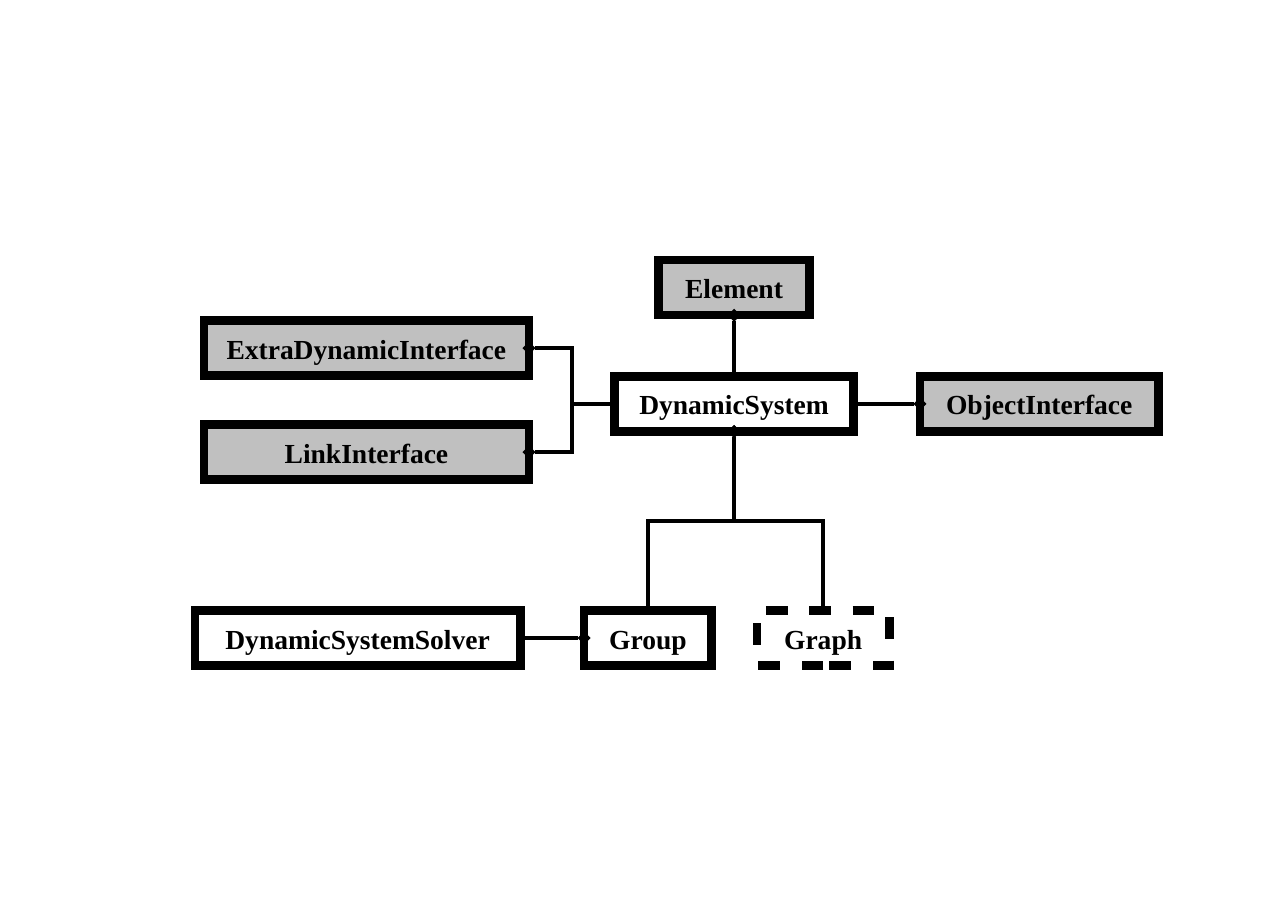
"""Draw the class diagram around DynamicSystem on one slide."""
from lxml import etree
from pptx import Presentation
from pptx.dml.color import RGBColor
from pptx.enum.shapes import MSO_CONNECTOR, MSO_SHAPE
from pptx.enum.text import MSO_ANCHOR, MSO_AUTO_SIZE, PP_ALIGN
from pptx.oxml.ns import qn
from pptx.util import Pt

BLACK = RGBColor(0, 0, 0)
GREY = RGBColor(0xC0, 0xC0, 0xC0)
RECTANGLE = MSO_SHAPE.RECTANGLE
ELBOW = MSO_CONNECTOR.ELBOW
BOX_HEIGHT = 36
TOP_ROW, EXTRA_ROW, SYSTEM_ROW, LINK_ROW, BOTTOM_ROW = 170, 209.5, 246, 277.5, 399

CLASSES = {
    "Element": (430.5, TOP_ROW, 98.5, GREY),
    "ExtraDynamicInterface": (133.25, EXTRA_ROW, 212.5, GREY),
    "LinkInterface": (133.25, LINK_ROW, 212.5, GREY),
    "DynamicSystem": (401.75, SYSTEM_ROW, 156, None),
    "ObjectInterface": (601.25, SYSTEM_ROW, 156, GREY),
    "DynamicSystemSolver": (127.5, BOTTOM_ROW, 212.5, None),
    "Group": (381.75, BOTTOM_ROW, 83.5, None),
    "Graph": (494.75, BOTTOM_ROW, 86.5, None),
}
RELATIONS = [
    ("Element", "bottom", "DynamicSystem", "top"),
    ("ObjectInterface", "left", "DynamicSystem", "right"),
    ("ExtraDynamicInterface", "right", "DynamicSystem", "left"),
    ("LinkInterface", "right", "DynamicSystem", "left"),
    ("DynamicSystem", "bottom", "Group", "top"),
    ("DynamicSystem", "bottom", "Graph", "top"),
    ("Group", "left", "DynamicSystemSolver", "right"),
]
SIDES = {"left": (0, 0.5), "right": (1, 0.5), "top": (0.5, 0), "bottom": (0.5, 1)}
FRAME_FORMAT = {
    "word_wrap": True,
    "auto_size": MSO_AUTO_SIZE.SHAPE_TO_FIT_TEXT,
    "vertical_anchor": MSO_ANCHOR.TOP,
    "margin_left": Pt(12.25),
    "margin_right": Pt(12.25),
    "margin_top": Pt(7.2),
    "margin_bottom": Pt(7.2),
}
PARAGRAPH_FORMAT = {"alignment": PP_ALIGN.CENTER, "space_before": Pt(6.9)}
FONT_FORMAT = {"name": "Times New Roman", "size": Pt(18), "bold": True}


def anchor_point(name, side):
    left, top, width, _ = CLASSES[name]
    across, down = SIDES[side]
    return left + across * width, top + down * BOX_HEIGHT


def draw_line(shape, width):
    shape.line.width = Pt(width)
    shape.line.color.rgb = BLACK
    return shape.line._get_or_add_ln()


prs = Presentation()
prs.slide_width, prs.slide_height = Pt(841.75), Pt(594.75)
slide = prs.slides.add_slide(prs.slide_layouts[6])

for name, (left, top, width, fill) in CLASSES.items():
    box = slide.shapes.add_shape(RECTANGLE, Pt(left), Pt(top), Pt(width), Pt(BOX_HEIGHT))
    box.shadow.inherit = False
    if fill is None:
        box.fill.background()
    else:
        box.fill.solid()
        box.fill.fore_color.rgb = fill
    border = draw_line(box, 5.67)
    if name == "Graph":
        dashes = etree.SubElement(border, qn("a:custDash"))
        etree.SubElement(dashes, qn("a:ds"), d="250000", sp="250000")
    etree.SubElement(border, qn("a:miter"), lim="800000")

    frame = box.text_frame
    label = frame.paragraphs[0]
    run = label.add_run()
    run.text = name
    run.font.color.rgb = BLACK
    for target, values in (
        (frame, FRAME_FORMAT),
        (label, PARAGRAPH_FORMAT),
        (run.font, FONT_FORMAT),
    ):
        for attribute, value in values.items():
            setattr(target, attribute, value)

for owner, owner_side, part, part_side in RELATIONS:
    x1, y1 = anchor_point(owner, owner_side)
    x2, y2 = anchor_point(part, part_side)
    vertical = owner_side == "bottom"
    if vertical:
        mid_x, mid_y = (x1 + x2) / 2, (y1 + y2) / 2
        half_x, half_y = (x2 - x1) / 2, (y2 - y1) / 2
        x1, y1 = mid_x - half_y, mid_y + half_x
        x2, y2 = mid_x + half_y, mid_y - half_x
    relation = slide.shapes.add_connector(ELBOW, Pt(x1), Pt(y1), Pt(x2), Pt(y2))
    if vertical:
        relation._element.spPr.find(qn("a:xfrm")).set("rot", "5400000")
    stroke = draw_line(relation, 2.83)
    etree.SubElement(stroke, qn("a:miter"), lim="800000")
    etree.SubElement(stroke, qn("a:headEnd"), type="diamond")
    etree.SubElement(relation._element.spPr, qn("a:effectLst"))

prs.save("out.pptx")
